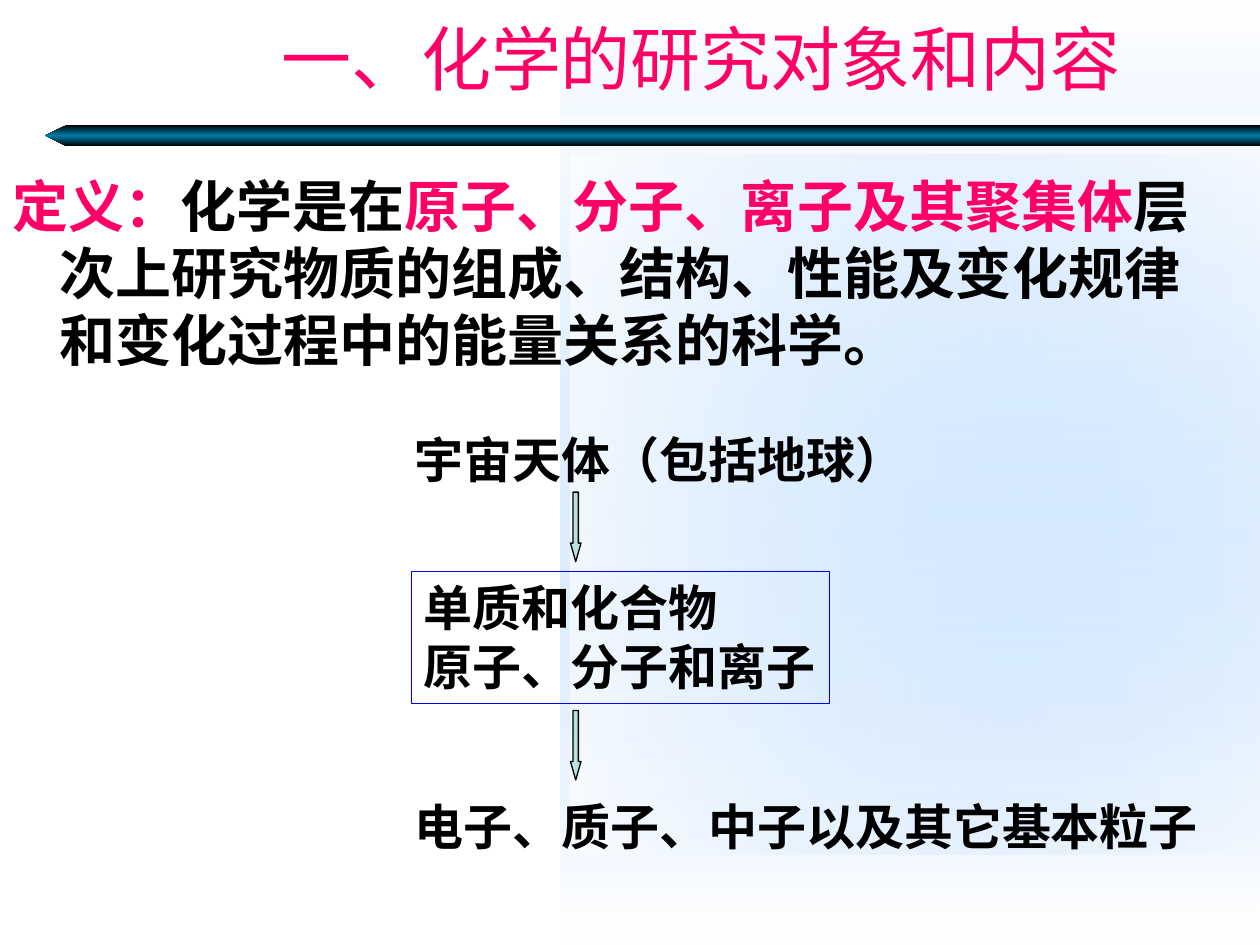
from dataclasses import dataclass

from pptx import Presentation
from pptx.dml.color import RGBColor
from pptx.enum.shapes import MSO_SHAPE as SHAPE
from pptx.enum.text import MSO_ANCHOR as ANCHOR, MSO_AUTO_SIZE as AUTO, PP_ALIGN as ALIGN
from pptx.oxml import parse_xml
from pptx.oxml.ns import nsdecls
from pptx.util import Pt


@dataclass(frozen=True)
class Theme:
    font: str = "Arial"
    title_size: int = 40
    body_size: int = 32
    label_size: int = 28
    ink: str = "000000"
    accent: str = "FF0066"
    sky: str = "99CCFF"
    white: str = "FFFFFF"
    bar: str = "007CA8"
    arrow: str = "BBE0E3"
    frame: str = "0000FF"
    line_width: float = 0.75


THEME = Theme()


def rgb(code):
    return RGBColor.from_string(code)


def add_shape(s, kind, box, line=None):
    sp = s.shapes.add_shape(kind, *map(Pt, box))
    sp.shadow.inherit = False
    sp.fill.background()
    if line:
        sp.line.color.rgb = rgb(line)
        sp.line.width = Pt(THEME.line_width)
    else:
        sp.line.fill.background()
    return sp


def set_gradient(sp, stops, angle=0):
    """Fill with a linear gradient; stops are (position %, colour, opacity %)."""
    gs = "".join(
        f'<a:gs pos="{pos * 1000}"><a:srgbClr val="{color}">'
        f'<a:alpha val="{opacity * 1000}"/></a:srgbClr></a:gs>'
        for pos, color, opacity in stops)
    grad = parse_xml(
        f'<a:gradFill {nsdecls("a")} rotWithShape="1"><a:gsLst>{gs}</a:gsLst>'
        f'<a:lin ang="{angle * 60000}" scaled="1"/></a:gradFill>')
    no_fill = sp.fill._xPr.find("{*}noFill")
    no_fill.getparent().replace(no_fill, grad)


def add_glow(s, box, rotation):
    sp = add_shape(s, SHAPE.RECTANGLE, box)
    sp.rotation = rotation
    set_gradient(sp, [(0, THEME.sky, 0), (100, THEME.white, 60)])


def add_title_bar(s):
    sp = add_shape(s, SHAPE.PENTAGON, (26, 71.5, 694, 12))
    sp.adjustments[0] = 1
    sp._element.spPr.xfrm.set("flipH", "1")
    set_gradient(sp, [(0, THEME.ink, 100), (50, THEME.bar, 100), (100, THEME.ink, 100)], 90)


def add_text(s, box):
    tf = s.shapes.add_textbox(*map(Pt, box)).text_frame
    tf.word_wrap = True
    return tf


def style(p, size, color=THEME.ink, bold=True, align=ALIGN.LEFT):
    p.alignment = align
    p.font.name = THEME.font
    p.font.size = Pt(size)
    p.font.bold = bold
    p.font.color.rgb = rgb(color)


def add_title(s, text):
    tf = add_text(s, (122, 0, 557, 65.5))
    tf.vertical_anchor = ANCHOR.MIDDLE
    p = tf.paragraphs[0]
    p.text = text
    style(p, THEME.title_size, THEME.accent, bold=False, align=ALIGN.CENTER)


def add_definition(s, runs):
    p = add_text(s, (0, 94.5, 696, 124.5)).paragraphs[0]
    style(p, THEME.body_size)
    pPr = p._p.get_or_add_pPr()
    pPr.set("marL", str(Pt(27)))
    pPr.set("indent", str(-Pt(27)))
    for text, color in runs:
        r = p.add_run()
        r.text = text
        r.font.color.rgb = rgb(color)


def fill_label(tf, lines):
    tf.word_wrap = False
    tf.auto_size = AUTO.SHAPE_TO_FIT_TEXT
    tf.vertical_anchor = ANCHOR.TOP
    tf.text = "\n".join(lines)
    for p in tf.paragraphs:
        style(p, THEME.label_size)


def add_down_arrow(s, top):
    sp = add_shape(s, SHAPE.DOWN_ARROW, (326, top, 6, 39.75), THEME.ink)
    sp.adjustments[0] = 0.5
    sp.adjustments[1] = 1.76
    sp.fill.solid()
    sp.fill.fore_color.rgb = rgb(THEME.arrow)


def main():
    prs = Presentation()
    prs.slide_width, prs.slide_height = Pt(720), Pt(540)
    s = prs.slides.add_slide(prs.slide_layouts[6])

    for _ in range(2):
        add_glow(s, (250, 70, 540, 400), 90)
    add_glow(s, (294.5, 91.5, 451, 400), 270)
    add_title_bar(s)
    add_glow(s, (326, 88.5, 394, 400), 180)

    add_definition(s, [
        ("定义：", THEME.accent),
        ("化学是在", THEME.ink),
        ("原子、分子、离子及其聚集体", THEME.accent),
        ("层次上研究物质的组成、结构、性能及变化规律和变化过程中的能量关系的科学。", THEME.ink),
    ])
    add_title(s, "一、化学的研究对象和内容")

    fill_label(add_text(s, (230, 242, 294.5, 41)), ["宇宙天体（包括地球）"])
    frame = add_shape(s, SHAPE.RECTANGLE, (235, 326.5, 239.25, 75.5), THEME.frame)
    fill_label(frame.text_frame, ["单质和化合物", "原子、分子和离子"])
    fill_label(add_text(s, (230, 451.5, 462, 41)), ["电子、质子、中子以及其它基本粒子"])
    for top in (281.25, 406):
        add_down_arrow(s, top)

    prs.save("out.pptx")


if __name__ == "__main__":
    main()
